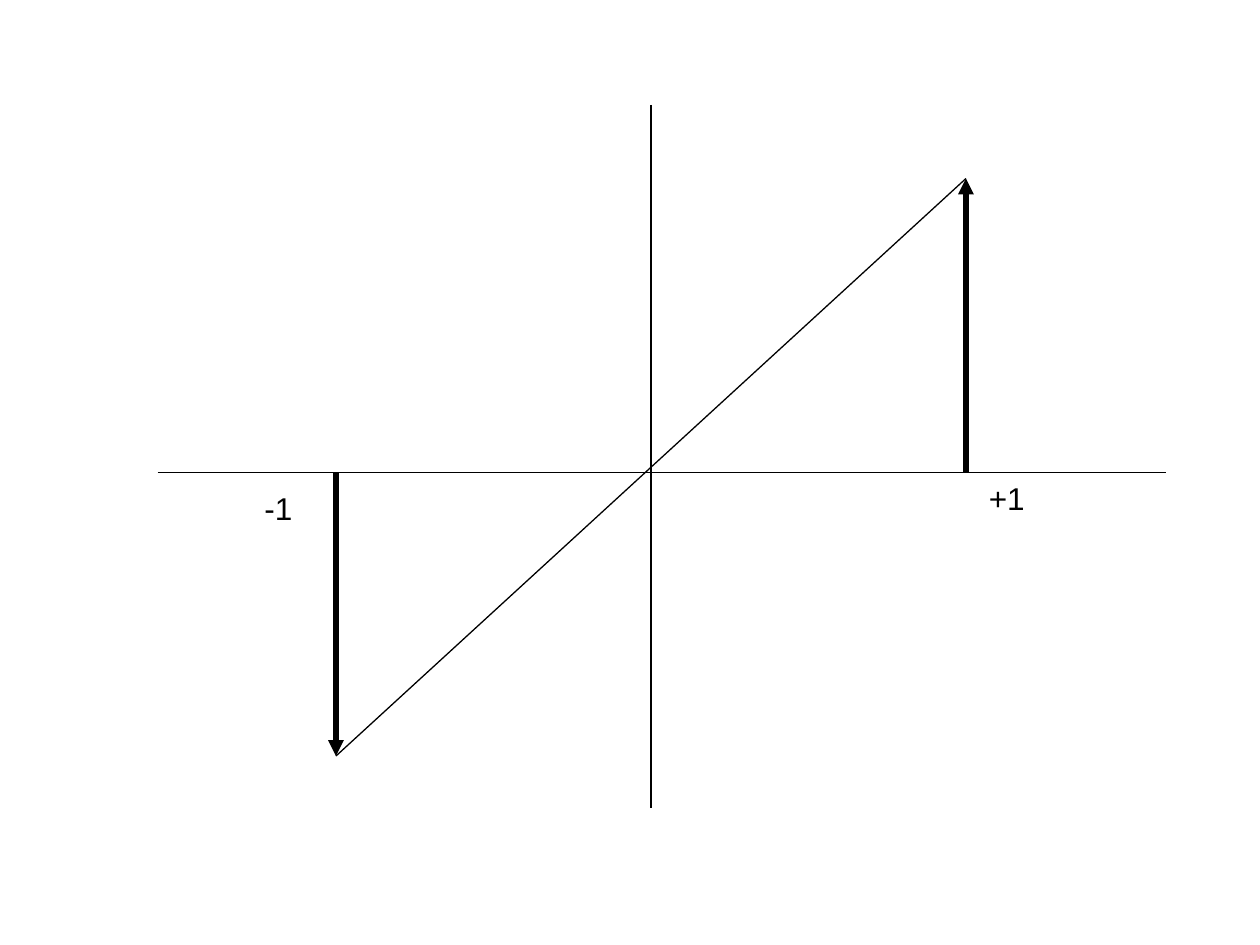
from dataclasses import dataclass

from lxml.etree import SubElement
from pptx import Presentation
from pptx.dml.color import RGBColor
from pptx.enum.shapes import MSO_CONNECTOR as Connector
from pptx.enum.text import MSO_AUTO_SIZE as AutoSize
from pptx.oxml.ns import qn
from pptx.util import Emu, Inches, Pt

PX = Inches(1) // 120


def px(n):
    return Emu(n * PX)


@dataclass(frozen=True)
class Theme:
    ink: RGBColor = RGBColor(0, 0, 0)
    font: str = "Arial"
    label_size: int = 18
    thin: float = 0.75
    thick: float = 3


class Diagram:
    def __init__(self, slide, theme):
        self.slide = slide
        self.theme = theme

    def line(self, start, end, width=None):
        ends = [px(n) for n in (*start, *end)]
        cxn = self.slide.shapes.add_connector(Connector.STRAIGHT, *ends)
        cxn.line.color.rgb = self.theme.ink
        cxn.line.width = Pt(width or self.theme.thin)
        SubElement(cxn._element.spPr, qn("a:effectLst"))
        return cxn

    def arrow(self, start, end):
        cxn = self.line(start, end, self.theme.thick)
        SubElement(cxn.line._get_or_add_ln(), qn("a:tailEnd"), type="triangle")

    def label(self, text, left, top, width=70, height=48):
        sp = self.slide.shapes.add_textbox(px(left), px(top), px(width), px(height))
        tf = sp.text_frame
        tf.word_wrap = True
        tf.auto_size = AutoSize.SHAPE_TO_FIT_TEXT
        p = tf.paragraphs[0]
        p.text = text
        p.font.name = self.theme.font
        p.font.size = Pt(self.theme.label_size)
        p.font.color.rgb = self.theme.ink


def main():
    prs = Presentation()
    prs.slide_width, prs.slide_height = px(1200), px(900)
    slide = prs.slides.add_slide(prs.slide_layouts[6])
    d = Diagram(slide, Theme())

    axis_x, axis_y = 620, 450
    unit = 300
    minus_x, plus_x = axis_x - unit, axis_x + unit
    low, high = (minus_x, 720), (plus_x, 170)

    d.line((axis_x, 100), (axis_x, 770))
    d.line((150, axis_y), (1110, axis_y))
    d.line(low, high)

    d.label("-1", minus_x - 80, axis_y + 10)
    d.label("+1", plus_x + 10, axis_y)

    for tip in (low, high):
        d.arrow((tip[0], axis_y), tip)

    prs.save("out.pptx")


if __name__ == "__main__":
    main()
